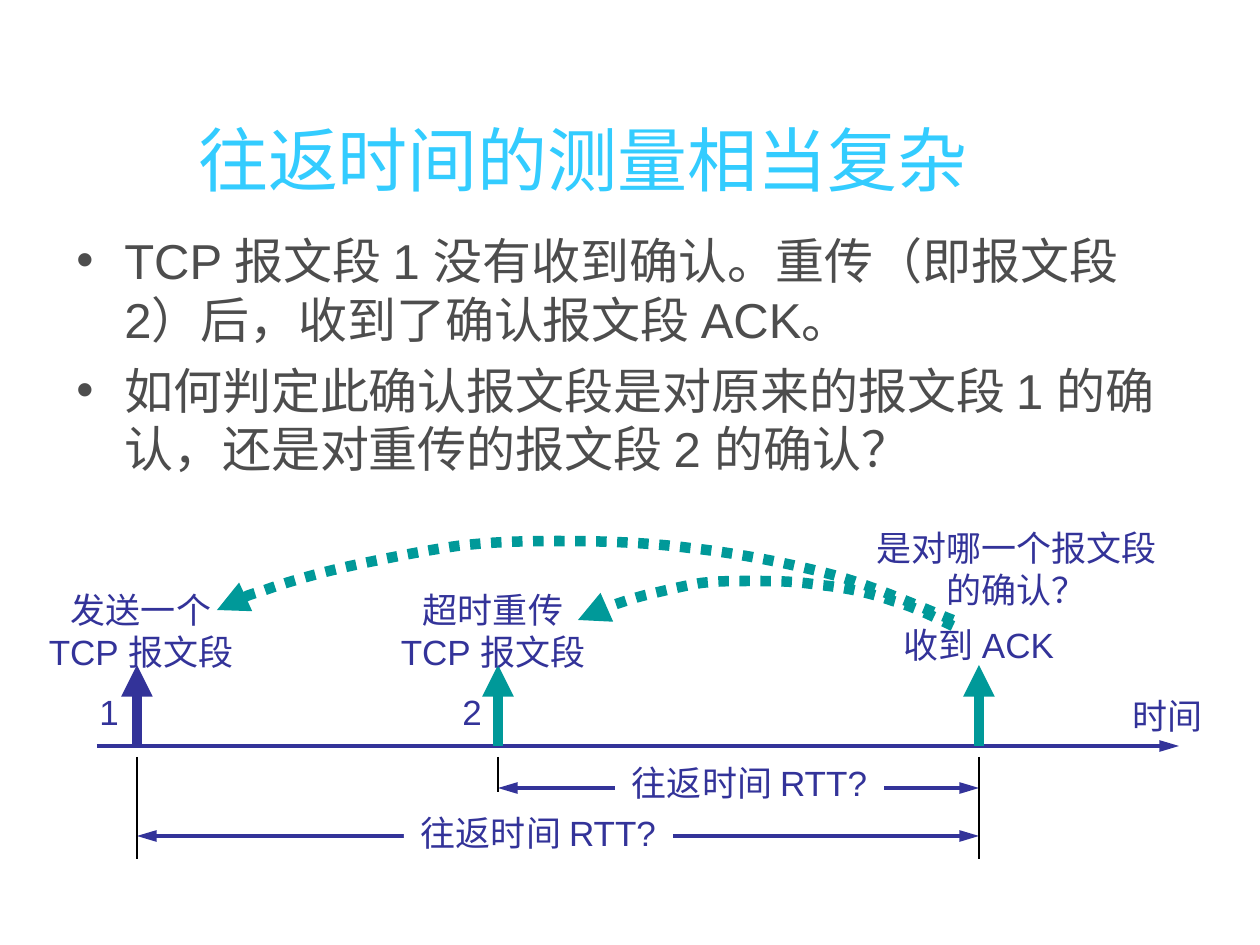
"""Build the slide on why round-trip time is hard to measure."""
from lxml.etree import SubElement
from pptx import Presentation
from pptx.dml.color import RGBColor
from pptx.enum.dml import MSO_LINE
from pptx.enum.shapes import MSO_CONNECTOR, MSO_SHAPE
from pptx.enum.text import MSO_ANCHOR, MSO_AUTO_SIZE, PP_ALIGN
from pptx.oxml.ns import qn
from pptx.util import Pt

PX = 914400 / 126
NAVY = RGBColor(0x33, 0x33, 0x99)
TEAL = RGBColor(0x00, 0x99, 0x99)
SKY = RGBColor(0x33, 0xCC, 0xFF)
GREY = RGBColor(0x4D, 0x4D, 0x4D)
BLACK = RGBColor(0, 0, 0)
WHITE = RGBColor(0xFF, 0xFF, 0xFF)

TITLE = ["往返时间的测量相当复杂 "]
BULLETS = [
    "TCP 报文段 1 没有收到确认。重传（即报文段 2）后，收到了确认报文段 ACK。",
    "如何判定此确认报文段是对原来的报文段 1 的确认，还是对重传的报文段 2 的确认？",
]
BULLET_INDENT = 48

SENT, RESENT, ACKED = 137, 498, 979
AXIS_Y, AXIS_LEFT, AXIS_RIGHT = 746, 97, 1179
EVENT_TOP, TICK_TOP = 665, 757
EVENTS = [(SENT, NAVY, 859), (RESENT, TEAL, 792), (ACKED, TEAL, 859)]
RTT_TEXT, RTT_SIZE = "往返时间 RTT?", (269, 55)
RTT_SPANS = [(RESENT, 788, 615, 755), (SENT, 836, 404, 805)]
LABELS = [
    (["发送一个", "TCP 报文段"], (32, 582, 218, 97)),
    (["超时重传", "TCP 报文段"], (384, 582, 218, 97)),
    (["收到 ACK"], (887, 617, 184, 55)),
    (["时间"], (1120, 688, 95, 55)),
    (["1"], (87, 684, 44, 55)),
    (["2"], (450, 684, 44, 55)),
    (["是对哪一个报文段", "的确认？"], (860, 520, 313, 97)),
]
ACK_CURVES = [
    [(953, 626), (942, 621), (916, 607), (893, 601), (871, 593), (843, 587),
     (819, 585), (795, 581), (772, 581), (752, 581), (732, 581), (718, 581),
     (701, 583), (683, 586), (663, 591), (646, 595), (630, 599), (614, 605),
     (602, 609), (591, 612), (585, 616), (578, 620)],
    [(953, 620), (932, 612), (879, 588), (837, 576), (793, 564), (737, 553),
     (690, 548), (644, 542), (597, 541), (558, 541), (520, 541), (491, 542),
     (457, 546), (422, 551), (383, 559), (350, 566), (319, 573), (287, 582),
     (265, 590), (242, 597), (231, 604), (217, 610)],
]


def emu(*lengths):
    return [round(length * PX) for length in lengths]


def write(shape, lines, size, color, align=PP_ALIGN.CENTER, bullet=False):
    frame = shape.text_frame
    frame.word_wrap = True
    frame.text = "\n".join(lines)
    for index, paragraph in enumerate(frame.paragraphs):
        paragraph.alignment = align
        if bullet:
            if index:
                paragraph.space_before = Pt(7)
            properties = paragraph._p.get_or_add_pPr()
            indent, = emu(BULLET_INDENT)
            properties.set("marL", str(indent))
            properties.set("indent", str(-indent))
            SubElement(properties, qn("a:buFont"), typeface="Arial")
            SubElement(properties, qn("a:buChar"), char="•")
        font = paragraph.font
        font.name, font.size = "Arial", Pt(size)
        font.color.rgb = color
    return frame


def write_label(shape, lines):
    frame = write(shape, lines, 20, NAVY)
    frame.word_wrap = False
    frame.auto_size = MSO_AUTO_SIZE.SHAPE_TO_FIT_TEXT
    frame.vertical_anchor = MSO_ANCHOR.TOP


def style_line(line, color, width, ends=(), length="med"):
    line.color.rgb = color
    line.width = Pt(width)
    for end in ends:
        SubElement(line._get_or_add_ln(), qn(f"a:{end}"), type="triangle", len=length)


def add_line(shapes, start, finish, color, width, ends=(), length="med"):
    connector = shapes.add_connector(MSO_CONNECTOR.STRAIGHT, *emu(*start, *finish))
    style_line(connector.line, color, width, ends, length)
    SubElement(connector._element.spPr, qn("a:effectLst"))


def add_rtt_span(shapes, left, y, label_left, label_top):
    add_line(shapes, (left, y), (ACKED, y), NAVY, 2.25, ("headEnd", "tailEnd"), "lg")
    label = shapes.add_shape(
        MSO_SHAPE.RECTANGLE, *emu(label_left, label_top, *RTT_SIZE))
    label.shadow.inherit = False
    label.fill.solid()
    label.fill.fore_color.rgb = WHITE
    label.line.fill.background()
    write_label(label, [RTT_TEXT])


def add_curve(shapes, points):
    builder = shapes.build_freeform(*points[0], scale=PX)
    builder.add_line_segments(points[1:], close=False)
    curve = builder.convert_to_shape()
    segments = list(curve._element.iter(qn("a:lnTo")))
    for first in range(0, len(segments), 3):
        outline = segments[first].getparent()
        bezier = SubElement(outline, qn("a:cubicBezTo"))
        for segment in segments[first:first + 3]:
            bezier.append(segment[0])
            outline.remove(segment)
    curve.shadow.inherit = False
    curve.fill.background()
    curve.line.dash_style = MSO_LINE.ROUND_DOT
    style_line(curve.line, TEAL, 6, ("tailEnd",))


def main():
    presentation = Presentation()
    presentation.slide_width, presentation.slide_height = emu(1260, 945)
    shapes = presentation.slides.add_slide(presentation.slide_layouts[6]).shapes

    title = shapes.add_textbox(*emu(64, 134, 1053, 50))
    write(title, TITLE, 40, SKY).vertical_anchor = MSO_ANCHOR.MIDDLE
    body = shapes.add_textbox(*emu(64, 224, 1134, 295))
    write(body, BULLETS, 28, GREY, PP_ALIGN.LEFT, bullet=True)

    for span in RTT_SPANS:
        add_rtt_span(shapes, *span)
    add_line(shapes, (AXIS_LEFT, AXIS_Y), (AXIS_RIGHT, AXIS_Y),
             NAVY, 2.25, ("tailEnd",), "lg")
    for x, color, tick_bottom in EVENTS:
        add_line(shapes, (x, AXIS_Y), (x, EVENT_TOP), color, 6, ("tailEnd",))
        add_line(shapes, (x, TICK_TOP), (x, tick_bottom), BLACK, 0.75)
    for points in ACK_CURVES:
        add_curve(shapes, points)
    for lines, box in LABELS:
        write_label(shapes.add_textbox(*emu(*box)), lines)

    presentation.save("out.pptx")


if __name__ == "__main__":
    main()
